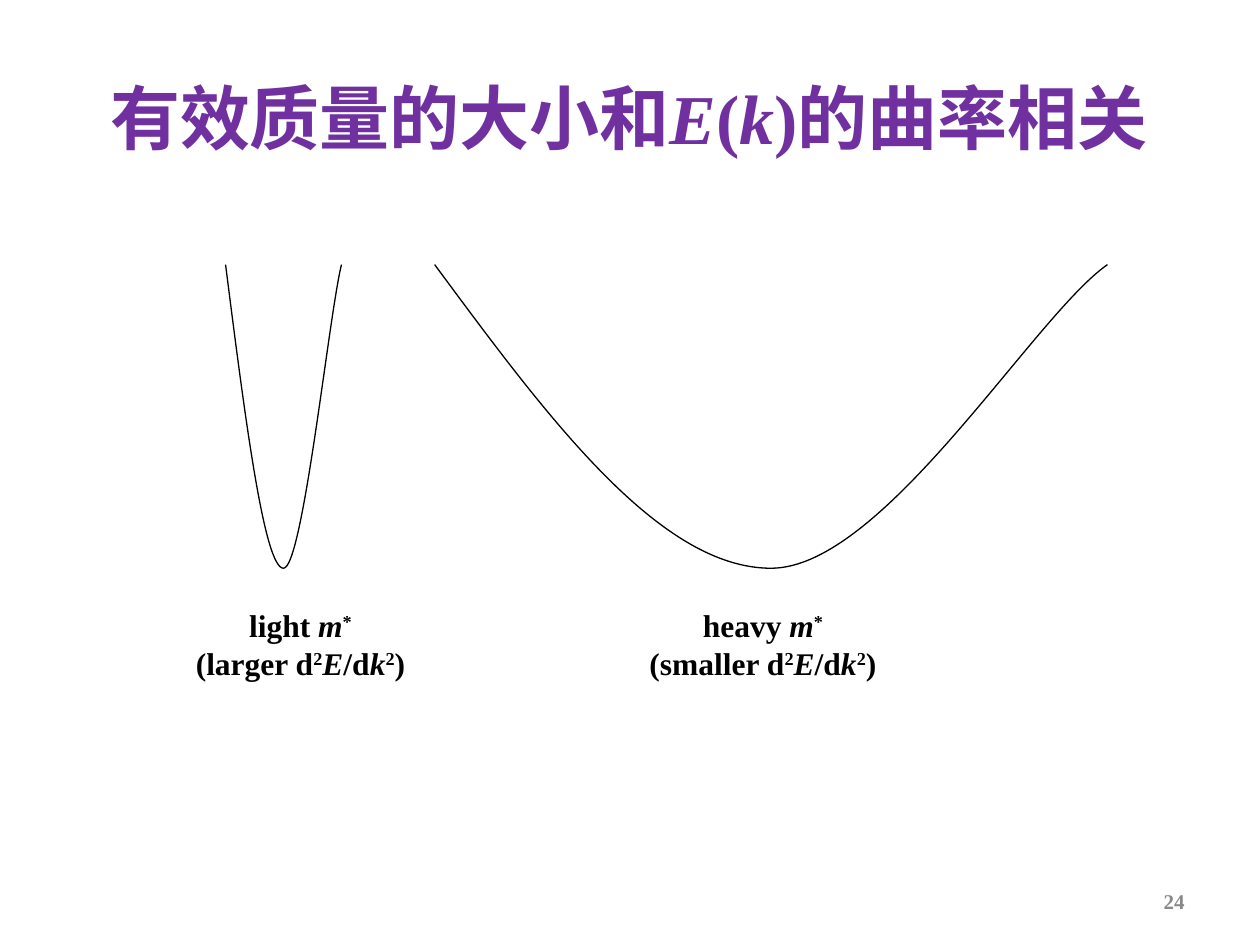
from lxml.etree import SubElement
from pptx import Presentation
from pptx.dml.color import RGBColor
from pptx.enum.text import MSO_ANCHOR as Anchor, PP_ALIGN as Align
from pptx.oxml.ns import qn
from pptx.util import Inches, Pt

FONT = "Times New Roman"
COLORS = {"title": "7030A0", "ink": "000000", "number": "898989"}
CURVE_TOP, CURVE_HEIGHT = 2.1, 2.41
CURVE_CONTROLS = [
    (0, 0), (1 / 6, 0.5), (1 / 3, 1), (1 / 2, 1),
    (2 / 3, 1), (0.89, 0.17), (1, 0),
]


def add_run(paragraph, text, style, size, color):
    run = paragraph.add_run()
    run.text = text
    font = run.font
    font.name = FONT
    font.size = Pt(size)
    font.bold = True
    font.italic = style == "italic"
    font.color.rgb = RGBColor.from_string(COLORS[color])
    if style == "super":
        run._r.get_or_add_rPr().set("baseline", "30000")


def add_text(slide, box, lines, size, color, align=Align.CENTER,
             anchor=Anchor.MIDDLE, wrap=True):
    shape = slide.shapes.add_textbox(*(Inches(value) for value in box))
    frame = shape.text_frame
    frame.word_wrap = wrap
    frame.vertical_anchor = anchor
    for index, line in enumerate(lines):
        paragraph = frame.add_paragraph() if index else frame.paragraphs[0]
        paragraph.alignment = align
        for text, style in line:
            add_run(paragraph, text, style, size, color)


def add_band_curve(slide, left, width):
    points = [
        (Inches(left + x * width), Inches(CURVE_TOP + y * CURVE_HEIGHT))
        for x, y in CURVE_CONTROLS
    ]
    builder = slide.shapes.build_freeform(*points[0])
    builder.add_line_segments(points[1:], close=False)
    shape = builder.convert_to_shape()
    shape.shadow.inherit = False
    shape.fill.background()
    shape.line.color.rgb = RGBColor.from_string(COLORS["ink"])
    shape.line.width = Pt(0.75)

    outline = next(shape._element.iter(qn("a:path")))
    segments = outline.findall(qn("a:lnTo"))
    for start in range(0, len(segments), 3):
        bezier = SubElement(outline, qn("a:cubicBezTo"))
        for segment in segments[start:start + 3]:
            bezier.append(segment[0])
            outline.remove(segment)


def add_mass_label(slide, left, width, mass, curvature):
    lines = [
        [(f"{mass} ", "plain"), ("m", "italic"), ("*", "super")],
        [(f"({curvature} d", "plain"), ("2", "super"), ("E", "italic"),
         ("/d", "plain"), ("k", "italic"), ("2", "super"), (")", "plain")],
    ]
    add_text(slide, (left, 4.76, width, 0.71), lines, 18, "ink",
             anchor=Anchor.TOP, wrap=False)


def main():
    presentation = Presentation()
    presentation.slide_width = Inches(10)
    presentation.slide_height = Inches(7.5)
    slide = presentation.slides.add_slide(presentation.slide_layouts[6])

    title = [("有效质量的大小和", "plain"), ("E", "italic"), ("(", "plain"),
             ("k", "italic"), (")的曲率相关", "plain")]
    add_text(slide, (0.24, 0.3, 9.5, 1.25), [title], 40, "title")
    add_text(slide, (7.17, 6.95, 2.33, 0.4), [[("24", "plain")]], 12, "number",
             align=Align.RIGHT)

    add_band_curve(slide, 1.79, 0.92)
    add_band_curve(slide, 3.45, 5.34)
    add_mass_label(slide, 1.4, 1.97, "light", "larger")
    add_mass_label(slide, 5, 2.11, "heavy", "smaller")

    presentation.save("out.pptx")


if __name__ == "__main__":
    main()
